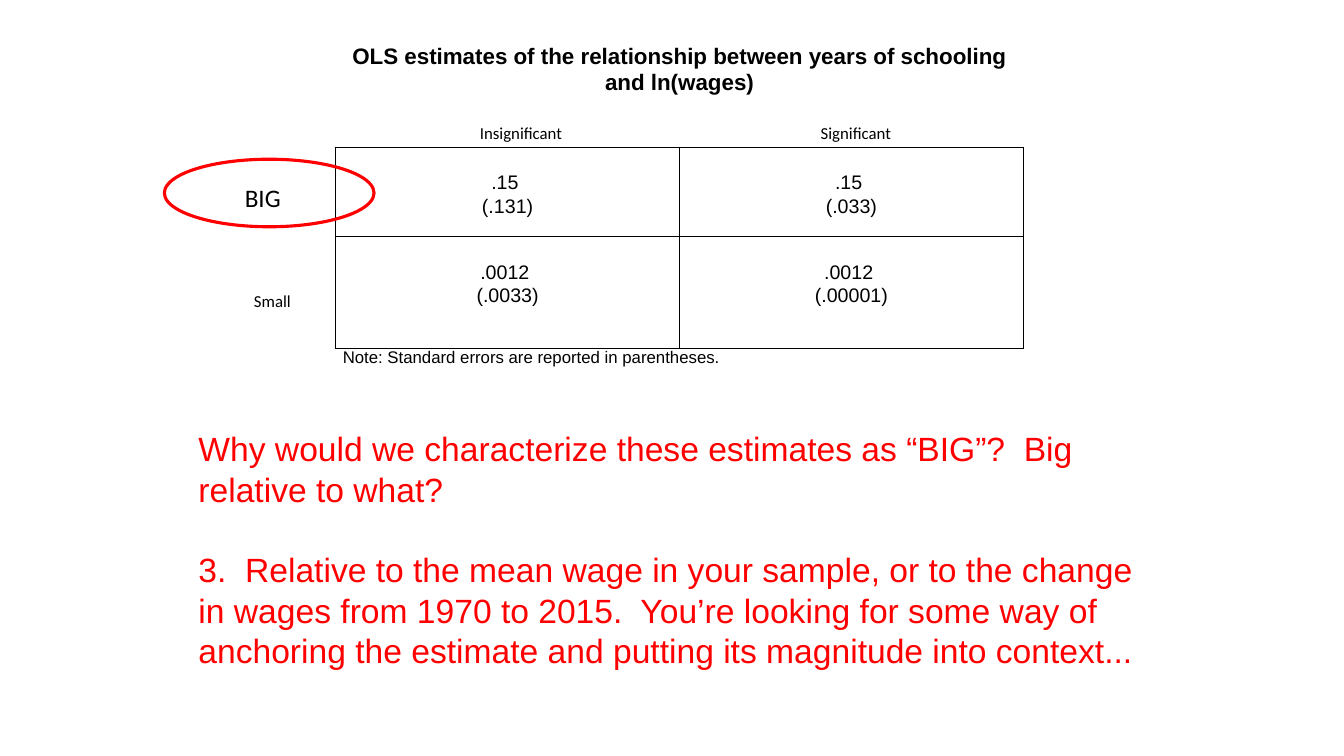
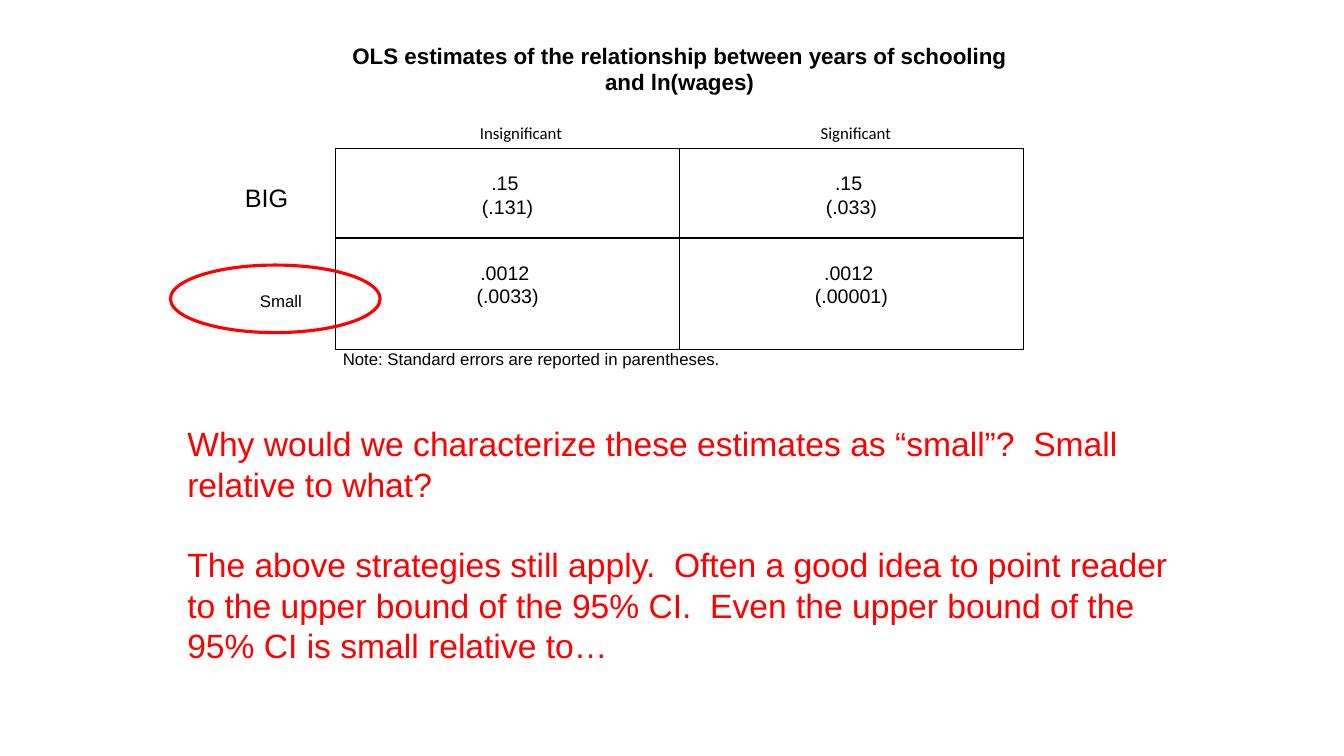
from dataclasses import dataclass

from pptx import Presentation
from pptx.dml.color import RGBColor
from pptx.enum.shapes import MSO_SHAPE
from pptx.enum.text import PP_ALIGN
from pptx.oxml.ns import qn
from pptx.util import Inches, Pt
from lxml.etree import SubElement

# Shared style
BLACK, RED = "000000", "FF0000"
ARIAL, CALIBRI = "Arial", "Calibri"
TABLE_SPACING = 1.07
SIDE_INSET = 0.07
ALL_SIDES = ("lnL", "lnR", "lnT", "lnB")

# Shared table layout, in inches
TABLE_LEFT, TABLE_TOP, COLUMN_WIDTH = 3.33, 0.42, 3.41
ROW_HEIGHTS = (1.04, 0.89, 1.11, 0.39)
ESTIMATE_TOP_INSET = 0.23
HEADER_TABS = (1.36, 4.74)

TITLE = "OLS estimates of the relationship between years of schooling and ln(wages)"
HEADERS = ("Insignificant", "Significant")
NOTE = "Note: Standard errors are reported in parentheses."
ESTIMATES = (
    ((".15 ", "(.131)"), (".15 ", "(.033)")),
    ((".0012 ", "(.0033)"), (".0012 ", "(.00001)")),
)


@dataclass(frozen=True)
class Box:
    left: float
    top: float
    width: float
    height: float

    def lengths(self) -> tuple:
        return tuple(Inches(n) for n in (self.left, self.top, self.width, self.height))


@dataclass(frozen=True)
class RowLabel:
    text: str
    box: Box
    size: int


@dataclass(frozen=True)
class EstimateSlide:
    label_font: str
    labels: tuple[RowLabel, ...]
    ellipse: Box
    body: Box
    paragraphs: tuple[str, ...]


SLIDES = (
    EstimateSlide(
        CALIBRI,
        (RowLabel("BIG", Box(2.33, 1.76, 0.56, 0.4), 18),
         RowLabel("Small", Box(2.42, 2.84, 0.58, 0.3), 12)),
        Box(1.63, 1.58, 2.08, 0.67),
        Box(1.87, 4.2, 9.59, 3.2),
        ("Why would we characterize these estimates as “BIG”?  Big relative to what?",
         "3.  Relative to the mean wage in your sample, or to the change in wages "
         "from 1970 to 2015.  You’re looking for some way of anchoring the estimate "
         "and putting its magnitude into context..."),
    ),
    EstimateSlide(
        ARIAL,
        (RowLabel("BIG", Box(2.33, 1.76, 0.64, 0.4), 18),
         RowLabel("Small", Box(2.48, 2.84, 0.62, 0.3), 12)),
        Box(1.69, 2.63, 2.08, 0.67),
        Box(1.76, 4.15, 9.96, 3.2),
        ("Why would we characterize these estimates as “small”?  Small relative to what?",
         "The above strategies still apply.  Often a good idea to point reader to the "
         "upper bound of the 95% CI.  Even the upper bound of the 95% CI is small "
         "relative to…"),
    ),
)


def color(value: str) -> RGBColor:
    return RGBColor.from_string(value)


def add_run(paragraph, text: str, size: int, font: str = ARIAL,
            fill: str = BLACK, bold: bool = False) -> None:
    run = paragraph.add_run()
    run.text = text
    run.font.size = Pt(size)
    run.font.name = font
    run.font.bold = bold
    run.font.color.rgb = color(fill)


def write_lines(frame, lines: tuple[str, ...], size: int, font: str = ARIAL,
                fill: str = BLACK, bold: bool = False, align=PP_ALIGN.LEFT,
                spacing: float = 1.0, gap: float = 0) -> None:
    """Write one paragraph per line, with a gap in points between them."""
    for index, line in enumerate(lines):
        paragraph = frame.add_paragraph() if index else frame.paragraphs[0]
        paragraph.alignment = align
        paragraph.line_spacing = spacing
        paragraph.space_before = Pt(gap if index else 0)
        add_run(paragraph, line, size, font, fill, bold)


def format_cell(cell, ruled_sides: tuple[str, ...], top: float = 0) -> None:
    cell.margin_left = cell.margin_right = Inches(SIDE_INSET)
    cell.margin_top, cell.margin_bottom = Inches(top), 0
    properties = cell._tc.get_or_add_tcPr()
    for side in ALL_SIDES:
        line = SubElement(properties, qn(f"a:{side}"), w=str(Pt(1)))
        if side in ruled_sides:
            solid = SubElement(line, qn("a:solidFill"))
            SubElement(solid, qn("a:srgbClr"), val=BLACK)
        else:
            SubElement(line, qn("a:noFill"))
    cell.fill.background()


def merge_row(table, row_index: int, ruled_side: str):
    """Join a row outside the ruled grid into one cell and return its text frame."""
    first, last = (table.cell(row_index, column) for column in (0, 1))
    first.merge(last)
    for cell in (first, last):
        format_cell(cell, (ruled_side,))
    return first.text_frame


def write_heading(frame) -> None:
    write_lines(frame, (TITLE,), 16, bold=True, align=PP_ALIGN.CENTER,
                spacing=TABLE_SPACING)
    # Column headers on tab stops
    paragraph = frame.add_paragraph()
    paragraph.alignment = PP_ALIGN.LEFT
    paragraph.line_spacing = TABLE_SPACING
    paragraph.space_before = Pt(19.2)
    tabs = SubElement(paragraph._p.get_or_add_pPr(), qn("a:tabLst"))
    for position, header in zip(HEADER_TABS, HEADERS):
        SubElement(tabs, qn("a:tab"), pos=str(Inches(position)), algn="l")
        add_run(paragraph, f"\t{header}", 12, CALIBRI)


def add_estimates_table(slide) -> None:
    box = Box(TABLE_LEFT, TABLE_TOP, 2 * COLUMN_WIDTH, sum(ROW_HEIGHTS))
    table = slide.shapes.add_table(len(ROW_HEIGHTS), 2, *box.lengths()).table
    table.first_row = table.horz_banding = False
    for row, height in zip(table.rows, ROW_HEIGHTS):
        row.height = Inches(height)
    for column in table.columns:
        column.width = Inches(COLUMN_WIDTH)

    write_heading(merge_row(table, 0, "lnB"))

    # Estimates with standard errors
    for row_index, estimates in enumerate(ESTIMATES, start=1):
        for column_index, lines in enumerate(estimates):
            cell = table.cell(row_index, column_index)
            format_cell(cell, ALL_SIDES, ESTIMATE_TOP_INSET)
            write_lines(cell.text_frame, lines, 14, align=PP_ALIGN.CENTER,
                        spacing=TABLE_SPACING)

    write_lines(merge_row(table, len(ROW_HEIGHTS) - 1, "lnT"), (NOTE,), 12)


def add_row_label(slide, label: RowLabel, font: str) -> None:
    frame = slide.shapes.add_textbox(*label.box.lengths()).text_frame
    frame.word_wrap = False
    write_lines(frame, (label.text,), label.size, font)


def add_ellipse(slide, box: Box) -> None:
    ellipse = slide.shapes.add_shape(MSO_SHAPE.OVAL, *box.lengths())
    ellipse.shadow.inherit = False
    ellipse.fill.background()
    ellipse.line.color.rgb = color(RED)
    ellipse.line.width = Pt(2.25)


def add_body(slide, box: Box, paragraphs: tuple[str, ...]) -> None:
    frame = slide.shapes.add_textbox(*box.lengths()).text_frame
    frame.word_wrap = True
    write_lines(frame, paragraphs, 24, fill=RED, gap=28.8)


def main() -> None:
    presentation = Presentation()
    presentation.slide_width, presentation.slide_height = Inches(13.33), Inches(7.5)
    blank = presentation.slide_layouts[6]
    for content in SLIDES:
        slide = presentation.slides.add_slide(blank)
        add_estimates_table(slide)
        for label in content.labels:
            add_row_label(slide, label, content.label_font)
        add_ellipse(slide, content.ellipse)
        add_body(slide, content.body, content.paragraphs)
    presentation.save("out.pptx")


if __name__ == "__main__":
    main()
